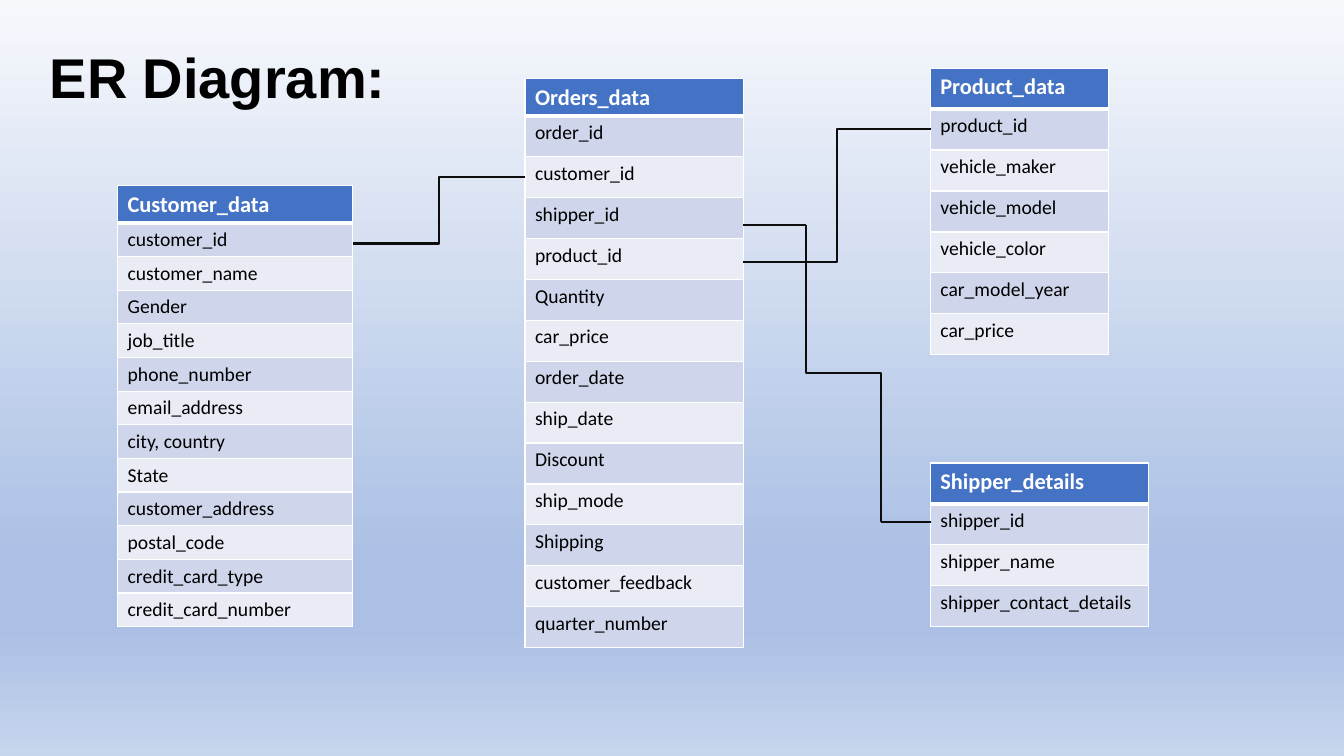
"""Build the ER diagram slide of the vehicle sales tables."""
import copy

import pptx
import pptx.dml.color
import pptx.enum.shapes
import pptx.oxml
import pptx.oxml.ns
import pptx.util

TITLE = {"text": "ER Diagram:", "box": (38, 36, 670, 74)}
TABLES = [
    {"name": "Customer_data", "place": (112, 177, 224), "rows": (35, 32),
     "fields": ["customer_id", "customer_name", "Gender", "job_title",
                "phone_number", "email_address", "city, country", "State",
                "customer_address", "postal_code", "credit_card_type",
                "credit_card_number"]},
    {"name": "Orders_data", "place": (500, 75, 208), "rows": (35, 39),
     "fields": ["order_id", "customer_id", "shipper_id", "product_id",
                "Quantity", "car_price", "order_date", "ship_date",
                "Discount", "ship_mode", "Shipping", "customer_feedback",
                "quarter_number"]},
    {"name": "Product_data", "place": (886, 65, 170), "rows": (39, 39),
     "fields": ["product_id", "vehicle_maker", "vehicle_model",
                "vehicle_color", "car_model_year", "car_price"]},
    {"name": "Shipper_details", "place": (886, 441, 208), "rows": (39, 39),
     "fields": ["shipper_id", "shipper_name", "shipper_contact_details"]},
]
RELATIONS = [
    ("ELBOW", (336, 232), (500, 169)),
    ("ELBOW", (708, 250), (887, 123)),
    ("STRAIGHT", (768, 214), (708, 214)),
    ("STRAIGHT", (887, 497), (839, 497)),
]
SHIPPER_DROP = ((768, 214), (839, 497))
THEME = {
    "title": {"name": "Arial", "size": 40, "bold": True, "color": "000000"},
    "header": {"name": "Calibri", "size": 16, "bold": True, "color": "FFFFFF"},
    "field": {"name": "Calibri", "size": 14, "bold": False, "color": "000000"},
    "header_fill": "4472C4",
    "bands": ("CFD5EA", "E9EBF5"),
    "border": "FFFFFF",
    "border_width": 1,
    "rule_width": 3,
    "line": "0D0D0D",
    "line_width": 1.5,
    "background": [(0, "F6F8FC"), (74, "ABC0E4"), (83, "ABC0E4"), (100, "C7D5ED")],
}


def px(length):
    return pptx.util.Emu(round(length * 9525))


def rgb(code):
    return pptx.dml.color.RGBColor.from_string(code)


def write(text_frame, text, style):
    run = text_frame.paragraphs[0].add_run()
    run.text = text
    values = {"name": style["name"], "size": pptx.util.Pt(style["size"]),
              "bold": style["bold"]}
    for attribute, value in values.items():
        setattr(run.font, attribute, value)
    run.font.color.rgb = rgb(style["color"])


def paint_background(slide):
    fill = slide.background.fill
    fill.gradient()
    fill.gradient_angle = 270
    stops = slide.element.find(".//" + pptx.oxml.ns.qn("a:gsLst"))
    pattern = copy.deepcopy(stops[0])
    for stop in list(stops):
        stops.remove(stop)
    for _ in THEME["background"]:
        stops.append(copy.deepcopy(pattern))
    for stop, (position, color) in zip(fill.gradient_stops, THEME["background"]):
        stop.position = position / 100
        stop.color.rgb = rgb(color)


def set_borders(cell, widths):
    properties = cell._tc.get_or_add_tcPr()
    for index, (side, width) in enumerate(widths.items()):
        properties.insert(index, pptx.oxml.parse_xml(
            f'<a:ln{side} {pptx.oxml.ns.nsdecls("a")} w="{pptx.util.Pt(width)}">'
            f'<a:solidFill><a:srgbClr val="{THEME["border"]}"/></a:solidFill>'
            f'</a:ln{side}>'))


def add_entity(slide, entity):
    left, top, width = entity["place"]
    header_height, field_height = entity["rows"]
    texts = [entity["name"]] + entity["fields"]
    height = header_height + field_height * len(entity["fields"])
    table = slide.shapes.add_table(
        len(texts), 1, px(left), px(top), px(width), px(height)).table
    for index, text in enumerate(texts):
        is_header = index == 0
        table.rows[index].height = px(header_height if is_header else field_height)
        cell = table.cell(index, 0)
        write(cell.text_frame, text, THEME["header" if is_header else "field"])
        cell.fill.solid()
        cell.fill.fore_color.rgb = rgb(
            THEME["header_fill"] if is_header else THEME["bands"][(index - 1) % 2])
        widths = dict.fromkeys("LRTB", THEME["border_width"])
        if index < 2:
            widths["B" if is_header else "T"] = THEME["rule_width"]
        set_borders(cell, widths)


def add_relation(slide, kind, start, end):
    connector = slide.shapes.add_connector(
        pptx.enum.shapes.MSO_CONNECTOR[kind], *map(px, start + end))
    connector.line.color.rgb = rgb(THEME["line"])
    connector.line.width = pptx.util.Pt(THEME["line_width"])
    properties = connector.element.spPr
    properties.append(pptx.oxml.parse_xml(
        f'<a:effectLst {pptx.oxml.ns.nsdecls("a")}/>'))
    return connector


def add_vertical_relation(slide, start, end):
    center_x, center_y = ((a + b) / 2 for a, b in zip(start, end))
    half_height, half_width = ((b - a) / 2 for a, b in zip(start, end))
    connector = add_relation(slide, "ELBOW",
                             (center_x + half_width, center_y - half_height),
                             (center_x - half_width, center_y + half_height))
    connector.element.spPr.xfrm.set("rot", str(270 * 60000))


def main():
    presentation = pptx.Presentation()
    presentation.slide_width, presentation.slide_height = px(1280), px(720)
    slide = presentation.slides.add_slide(presentation.slide_layouts[6])
    paint_background(slide)
    title = slide.shapes.add_textbox(*map(px, TITLE["box"]))
    title.text_frame.word_wrap = True
    write(title.text_frame, TITLE["text"], THEME["title"])
    for entity in TABLES:
        add_entity(slide, entity)
    for relation in RELATIONS:
        add_relation(slide, *relation)
    add_vertical_relation(slide, *SHIPPER_DROP)
    presentation.save("out.pptx")


if __name__ == "__main__":
    main()
